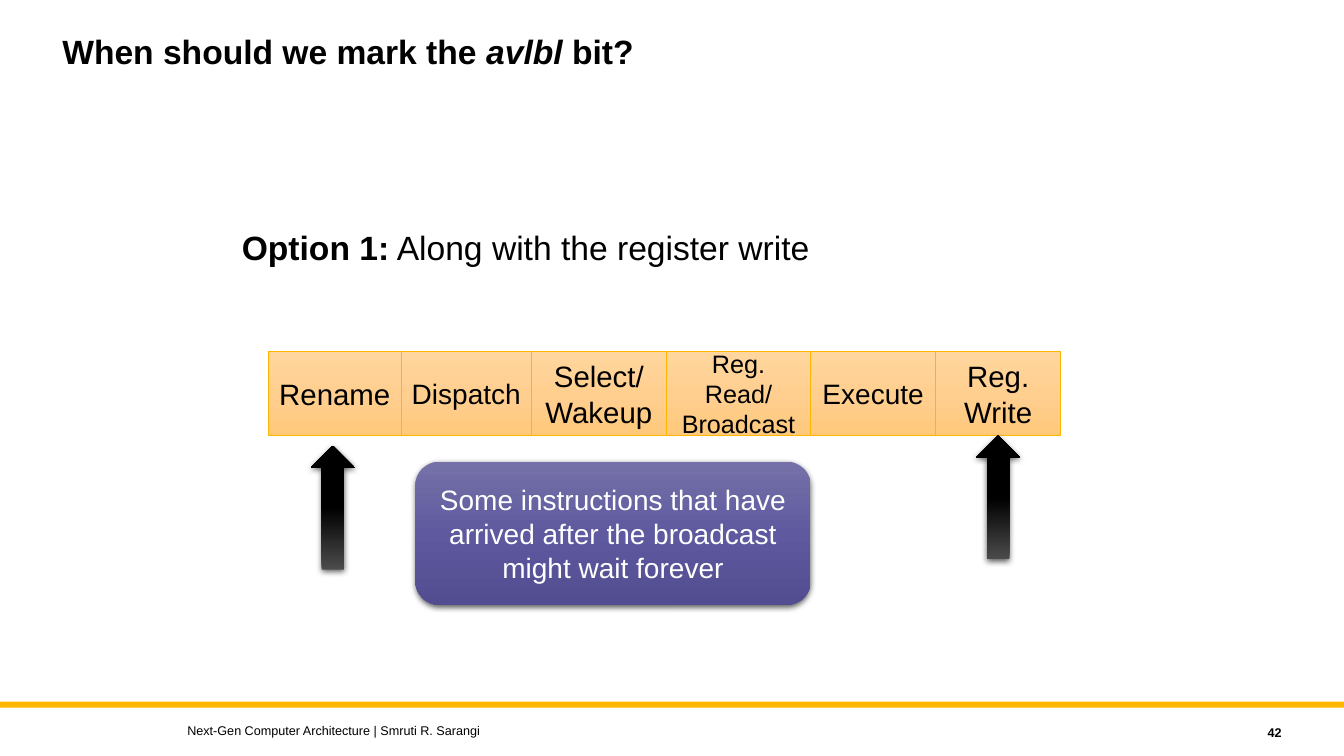
from lxml import etree
from pptx import Presentation
from pptx.dml.color import RGBColor
from pptx.enum.shapes import MSO_SHAPE
from pptx.enum.text import MSO_ANCHOR, PP_ALIGN
from pptx.oxml.ns import qn
from pptx.util import Inches, Pt

RECTANGLE = MSO_SHAPE.RECTANGLE
ROUNDED = MSO_SHAPE.ROUNDED_RECTANGLE
DOWN_ARROW = MSO_SHAPE.DOWN_ARROW
TOP, MIDDLE = MSO_ANCHOR.TOP, MSO_ANCHOR.MIDDLE
LEFT, CENTER, RIGHT = PP_ALIGN.LEFT, PP_ALIGN.CENTER, PP_ALIGN.RIGHT

BLACK, WHITE, GOLD = "000000", "FFFFFF", "FFB600"
ORANGE_STOPS = ("FFD69E", "FFCF90", "FFC97C")
PURPLE_STOPS = ("7571A8", "5F5A9F", "524D90")
BLACK_STOPS = ("4B4B4B", BLACK, BLACK)


def rgb(value):
    return RGBColor.from_string(value)


def add_run(paragraph, text, size=20, color=BLACK, bold=False, italic=False):
    run = paragraph.add_run()
    run.text = text
    font = run.font
    font.name = "Arial"
    font.size = Pt(size)
    font.bold = bold
    font.italic = italic
    font.color.rgb = rgb(color)


def add_child(parent, tag, **attributes):
    return etree.SubElement(parent, qn(tag), attributes)


class SlideBuilder:
    def __init__(self, presentation):
        self.slide = presentation.slides.add_slide(presentation.slide_layouts[6])
        background = self.slide.background.fill
        background.solid()
        background.fore_color.rgb = rgb(WHITE)

    def fill_text(self, shape, paragraphs, align=LEFT, anchor=TOP, line_spacing=None):
        frame = shape.text_frame
        frame.word_wrap = True
        frame.vertical_anchor = anchor
        for index, runs in enumerate(paragraphs):
            paragraph = frame.add_paragraph() if index else frame.paragraphs[0]
            paragraph.alignment = align
            paragraph.line_spacing = line_spacing
            for text, style in runs:
                add_run(paragraph, text, **style)

    def text(self, box, runs, **layout):
        shape = self.slide.shapes.add_textbox(*map(Inches, box))
        self.fill_text(shape, [runs], **layout)

    def shape(self, kind, box, fill, line=None, shadow=False):
        shape = self.slide.shapes.add_shape(kind, *map(Inches, box))
        shape.shadow.inherit = False
        if isinstance(fill, str):
            shape.fill.solid()
            shape.fill.fore_color.rgb = rgb(fill)
        else:
            self.gradient(shape, fill)
        if line:
            shape.line.color.rgb = rgb(line)
            shape.line.width = Pt(0.5)
        else:
            shape.line.fill.background()
        if shadow:
            self.drop_shadow(shape)
        return shape

    def gradient(self, shape, colors):
        shape.fill.gradient()
        shape.fill.gradient_angle = 270
        stops = next(shape._element.spPr.iter(qn("a:gsLst")))
        for stop in list(stops):
            stops.remove(stop)
        for index, color in enumerate(colors):
            stop = add_child(stops, "a:gs", pos=str(index * 50000))
            add_child(stop, "a:srgbClr", val=color)

    def drop_shadow(self, shape):
        effects = shape._element.spPr.find(qn("a:effectLst"))
        outer = add_child(effects, "a:outerShdw", blurRad=str(Pt(4.5)),
                          dist=str(Pt(1.5)), dir="5400000", rotWithShape="0")
        color = add_child(outer, "a:srgbClr", val=BLACK)
        add_child(color, "a:alpha", val="63000")

    def stages(self, left, top, height, stages):
        for width, size, lines in stages:
            stage = self.shape(RECTANGLE, (left, top, width, height),
                               ORANGE_STOPS, line=GOLD)
            self.fill_text(stage, [[(line, {"size": size})] for line in lines],
                           align=CENTER, anchor=MIDDLE)
            left += width

    def up_arrow(self, left, top):
        arrow = self.shape(DOWN_ARROW, (left, top, 0.44, 1.23),
                           BLACK_STOPS, shadow=True)
        arrow.rotation = 180

    def callout(self, box, lines):
        callout = self.shape(ROUNDED, box, PURPLE_STOPS, shadow=True)
        self.fill_text(callout, [[(line, {"color": WHITE})] for line in lines],
                       align=CENTER, anchor=MIDDLE)


def main():
    presentation = Presentation()
    presentation.slide_width = Inches(13.33)
    presentation.slide_height = Inches(7.5)
    builder = SlideBuilder(presentation)

    plain = {"size": 24}
    bold = {"size": 24, "bold": True}
    builder.shape(RECTANGLE, (0, 6.96, 13.33, 0.06), GOLD)
    builder.text((0.52, 0.3, 10, 0.9),
                 [("When should we mark the ", bold),
                  ("avlbl", {**bold, "italic": True}),
                  (" bit?", bold)], line_spacing=0.9)
    builder.text((2.3, 2.2, 8.62, 0.64),
                 [("Option 1:", bold), (" Along with the register write", plain)])

    builder.stages(2.66, 3.49, 0.83, [
        (1.32, 21, ["Rename"]),
        (1.29, 20, ["Dispatch"]),
        (1.34, 21, ["Select/ Wakeup"]),
        (1.43, 18, ["Reg. Read/", "Broadcast"]),
        (1.24, 20, ["Execute"]),
        (1.24, 21, ["Reg. Write"]),
    ])
    builder.up_arrow(9.68, 4.32)
    builder.callout((4.12, 4.58, 3.92, 1.42),
                    ["Some instructions that have",
                     "arrived after the broadcast might wait forever"])
    builder.up_arrow(3.08, 4.42)

    builder.text((11.41, 7.14, 1.4, 0.25), [("42", {"size": 9, "bold": True})],
                 align=RIGHT, anchor=MIDDLE)
    builder.text((1.76, 7.12, 8, 0.25),
                 [("Next-Gen Computer Architecture | Smruti R. Sarangi", {"size": 9})],
                 anchor=MIDDLE)
    presentation.save("out.pptx")


if __name__ == "__main__":
    main()
